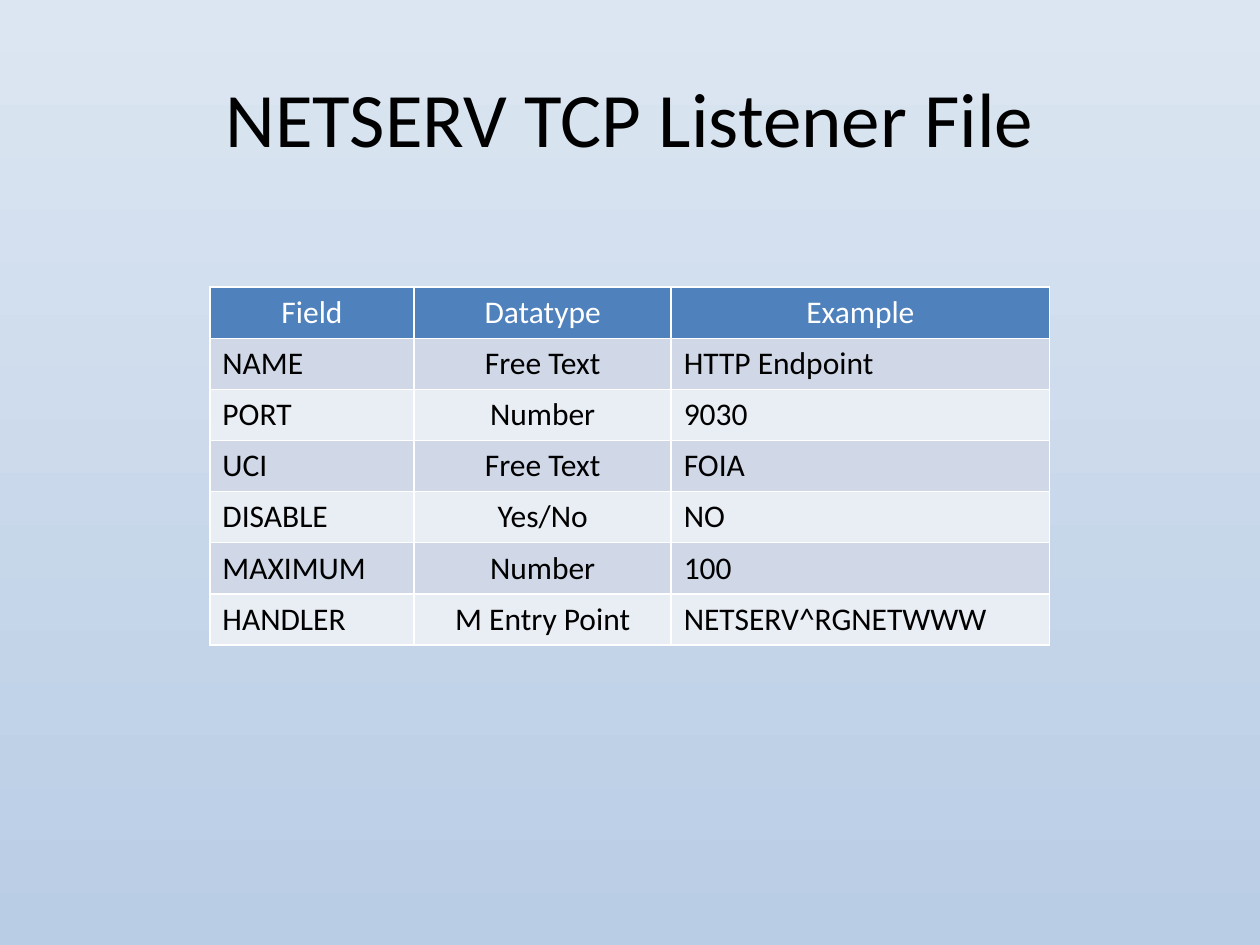
from pptx import Presentation
from pptx.dml.color import RGBColor
from pptx.enum.text import MSO_ANCHOR, PP_ALIGN
from pptx.util import Cm, Pt

BLACK = RGBColor(0x00, 0x00, 0x00)
WHITE = RGBColor(0xFF, 0xFF, 0xFF)
BLUE = RGBColor(0x4F, 0x81, 0xBD)
BANDS = RGBColor(0xD0, 0xD8, 0xE8), RGBColor(0xE9, 0xED, 0xF4)
SKY = RGBColor(0xDC, 0xE6, 0xF2), RGBColor(0xB9, 0xCD, 0xE5)

WIDTHS = 4.12, 5.18, 7.63
HEIGHT = 1.03
ROWS = [
    ("Field", "Datatype", "Example"),
    ("NAME", "Free Text", "HTTP Endpoint"),
    ("PORT", "Number", "9030"),
    ("UCI", "Free Text", "FOIA"),
    ("DISABLE", "Yes/No", "NO"),
    ("MAXIMUM", "Number", "100"),
    ("HANDLER", "M Entry Point", "NETSERV^RGNETWWW"),
]


def set_back(slide):
    fill = slide.background.fill
    fill.gradient()
    fill.gradient_angle = 270
    for stop, color, place in zip(fill.gradient_stops, SKY, (0, 1)):
        stop.color.rgb = color
        stop.position = place


def write(frame, text, size, color, align):
    frame.text = text
    para = frame.paragraphs[0]
    para.alignment = align
    font = para.font
    font.name, font.size, font.bold = "Calibri", Pt(size), False
    font.color.rgb = color


def set_title(slide, text):
    title = slide.shapes.title
    title.left, title.top = Cm(1.27), Cm(0.76)
    title.width, title.height = Cm(22.86), Cm(3.18)
    write(title.text_frame, text, 44, BLACK, PP_ALIGN.CENTER)
    title.text_frame.vertical_anchor = MSO_ANCHOR.MIDDLE


def add_grid(slide):
    """Add the field table; its default style draws the white borders."""
    table = slide.shapes.add_table(
        len(ROWS), len(WIDTHS), Cm(4.23), Cm(5.79),
        Cm(sum(WIDTHS)), Cm(HEIGHT * len(ROWS))).table
    for col, width in zip(table.columns, WIDTHS):
        col.width = Cm(width)
    for i, row in enumerate(ROWS):
        table.rows[i].height = Cm(HEIGHT)
        head = i == 0
        for j, text in enumerate(row):
            cell = table.cell(i, j)
            cell.fill.solid()
            cell.fill.fore_color.rgb = BLUE if head else BANDS[(i - 1) % 2]
            align = PP_ALIGN.CENTER if head or j == 1 else PP_ALIGN.LEFT
            write(cell.text_frame, text, 18, WHITE if head else BLACK, align)


def main():
    deck = Presentation()
    deck.slide_width, deck.slide_height = Cm(25.4), Cm(19.05)
    slide = deck.slides.add_slide(deck.slide_layouts[5])
    set_back(slide)
    set_title(slide, "NETSERV TCP Listener File")
    add_grid(slide)
    deck.save("out.pptx")


if __name__ == "__main__":
    main()
